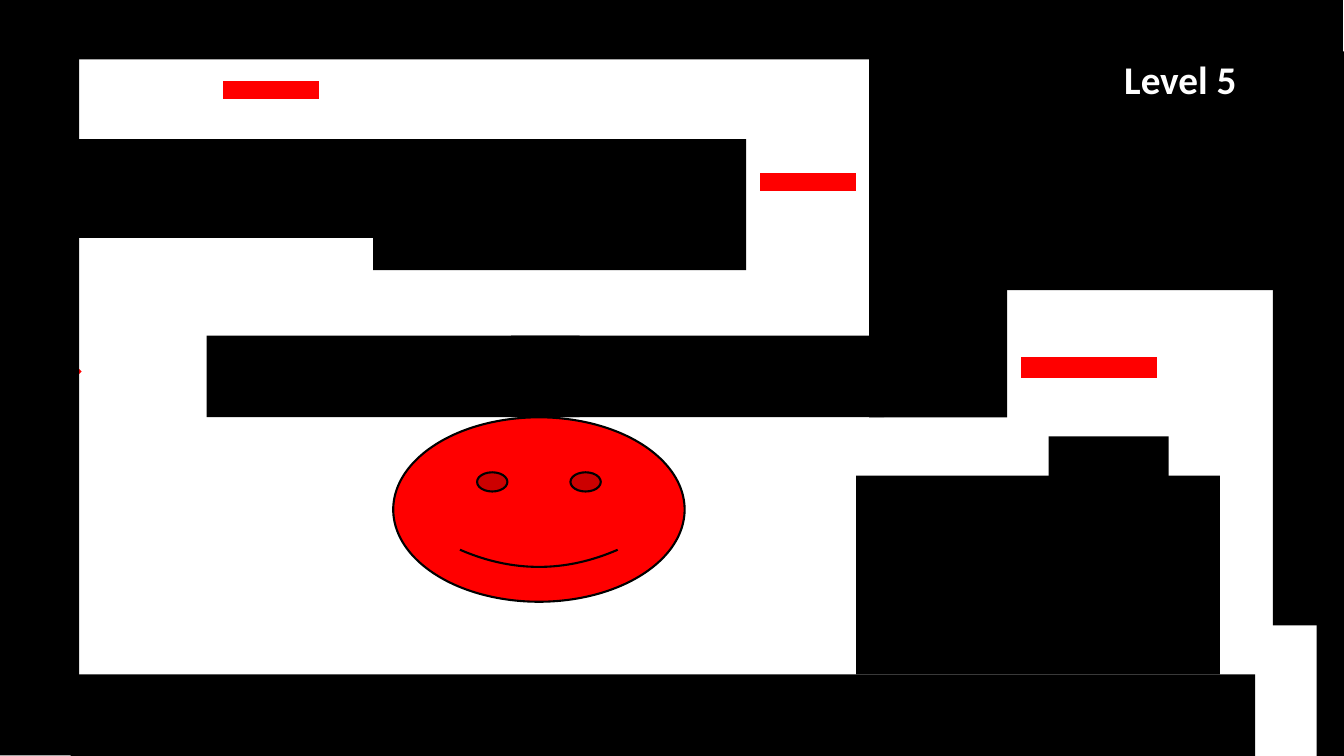
import pptx
import pptx.util
import pptx.dml.color
import pptx.enum.shapes
import pptx.enum.text

Inches = pptx.util.Inches
Kind = pptx.enum.shapes.MSO_SHAPE
COLORS = {"wall": "000000", "foe": "FF0000", "text": "FFFFFF"}

# Left, top, width, height and turn, from back to front
WALLS = [
    (-0.01, 0, 13.33, 0.59, 0),
    (0, 1.38, 3.7, 0.98, 0),
    (-3.37, 3.34, 7.5, 0.81, 90),
    (0.7, 6.69, 11.75, 0.81, 0),
    (10.27, 3.15, 5.41, 0.7, 270),
    (3.7, 1.38, 3.7, 1.3, 0),
    (8.62, 0.51, 4.71, 2.37, 0),
    (8.62, 1.39, 1.37, 2.75, 0),
    (5.07, 3.33, 3.7, 0.81, 0),
    (2.05, 3.33, 3.7, 0.81, 0),
    (8.49, 4.72, 3.61, 1.97, 0),
    (10.4, 4.33, 1.19, 0.41, 0),
    (10.49, 4.66, 5.41, 0.27, 270),
]
BARS = [
    (2.6, 0.42, 0.18, 0.95, 90),
    (7.92, 1.33, 0.18, 0.95, 90),
    (10.7, 2.97, 0.21, 1.35, 90),
]


def color(name):
    return pptx.dml.color.RGBColor.from_string(COLORS[name])


def add_block(slide, kind, fill, left, top, width, height, turn=0):
    block = slide.shapes.add_shape(
        kind, Inches(left), Inches(top), Inches(width), Inches(height))
    block.rotation = turn
    block.shadow.inherit = False
    block.fill.solid()
    block.fill.fore_color.rgb = color(fill)
    block.line.fill.background()
    return block


def add_face(slide):
    face = add_block(slide, Kind.SMILEY_FACE, "foe", 3.9, 4.14, 2.89, 1.83)
    face.line.color.rgb = color("wall")
    face.line.width = pptx.util.Pt(1.5)


def set_title(slide, text):
    title = slide.shapes.title
    title.left, title.top = Inches(11.05), Inches(0.5)
    title.width, title.height = Inches(2.08), Inches(0.57)
    frame = title.text_frame
    frame.text = text
    frame.word_wrap = True
    frame.auto_size = pptx.enum.text.MSO_AUTO_SIZE.SHAPE_TO_FIT_TEXT
    frame.vertical_anchor = pptx.enum.text.MSO_ANCHOR.TOP
    para = frame.paragraphs[0]
    para.alignment = pptx.enum.text.PP_ALIGN.LEFT
    font = para.runs[0].font
    font.name, font.size, font.bold = "Calibri", pptx.util.Pt(28), True
    font.color.rgb = color("text")
    # Bring the title in front of the walls
    title.element.getparent().append(title.element)


def main():
    deck = pptx.Presentation()
    deck.slide_width, deck.slide_height = Inches(13.33), Inches(7.5)
    slide = deck.slides.add_slide(deck.slide_layouts[5])

    # Enemies behind the walls
    add_face(slide)
    add_block(slide, Kind.PENTAGON, "foe", 0.26, 3.49, 0.55, 0.39)

    # Maze walls, then the bars in its lanes
    for wall in WALLS:
        add_block(slide, Kind.RECTANGLE, "wall", *wall)
    for bar in BARS:
        add_block(slide, Kind.FLOWCHART_PROCESS, "foe", *bar)

    set_title(slide, "Level 5")
    deck.save("out.pptx")


if __name__ == "__main__":
    main()
